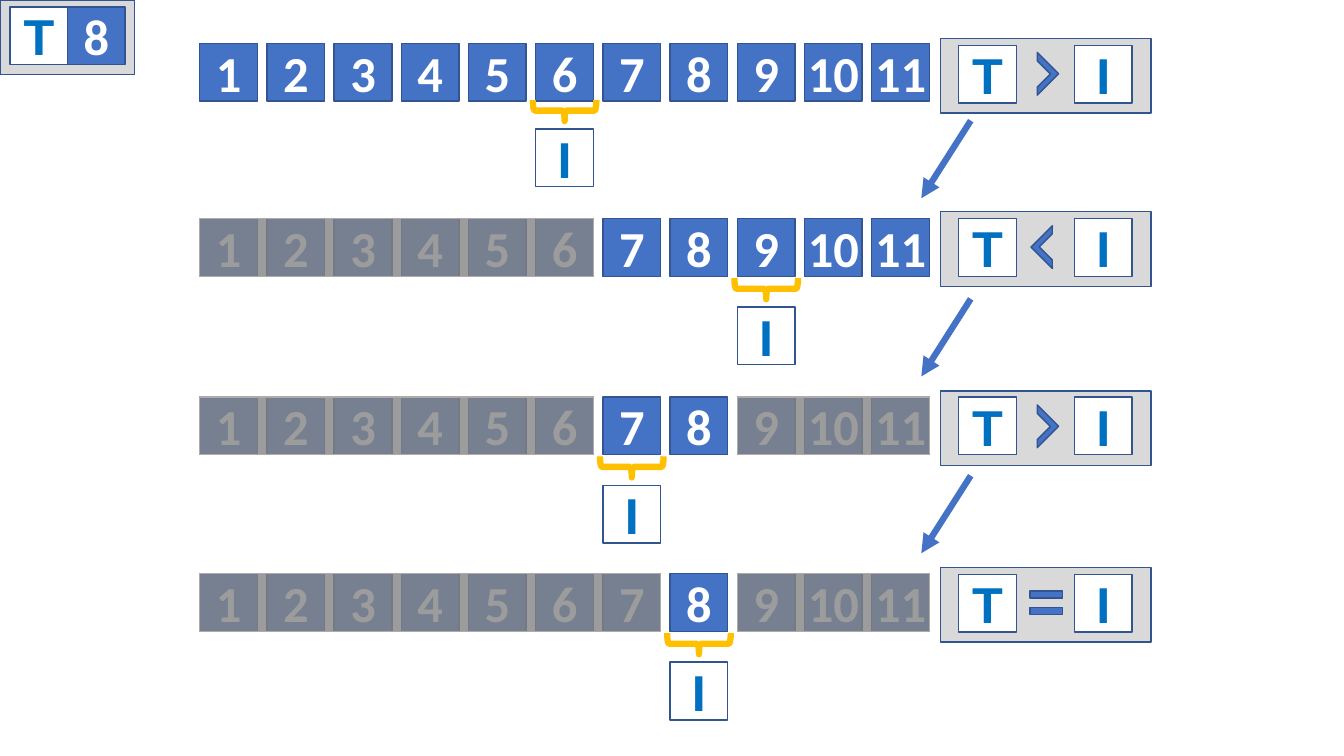
"""Draw a binary search for target 8 among eleven sorted numbers, one row per step."""
import dataclasses
import typing

import lxml.etree
import pptx
import pptx.dml.color
import pptx.enum.shapes
import pptx.enum.text
import pptx.oxml.ns
import pptx.shapes.autoshape
import pptx.slide
import pptx.util

Pt = pptx.util.Pt
Kind = pptx.enum.shapes.MSO_SHAPE
Box = tuple[float, float, float, float]


@dataclasses.dataclass(frozen=True)
class Theme:
    blue: str = "4472C4"
    edge: str = "325491"
    white: str = "FFFFFF"
    ink: str = "0070C0"
    gray: str = "D9D9D9"
    gold: str = "FFC000"
    veil: str = "848484"
    rim: str = "AFABAB"
    digit: str = "Calibri"
    letter: str = "Arial"
    size: float = 36
    thin: float = 1
    thick: float = 4.5


@dataclasses.dataclass(frozen=True)
class Sign:
    kind: Kind
    mid: float
    width: float
    height: float
    turn: float
    tweaks: tuple[float, float]


@dataclasses.dataclass(frozen=True)
class Step:
    top: float
    panel: float
    card: float
    drop: float
    index: int
    veils: tuple[tuple[int, int], ...]
    sign: Sign


THEME = Theme()
SIDE, PITCH, LEFT, COUNT = 41.2, 48, 142.7, 11
PANEL, WIDTH, HEIGHT = 671.8, 150.5, 53.4
MORE = Sign(Kind.HALF_FRAME, 740.9, 21.6, 21.6, 135, (0.19, 0.2))
LESS = dataclasses.replace(MORE, mid=751.7, turn=315)
SAME = Sign(Kind.MATH_EQUAL, 747.4, 31.7, 30.2, 0, (0.17, 0.22))
STEPS = (
    Step(31, 27.4, 32.4, 61.2, 6, (), MORE),
    Step(156.2, 151.2, 156.2, 63.2, 9, ((1, 6),), LESS),
    Step(283.5, 279.2, 283.7, 63.2, 7, ((1, 6), (9, 11)), MORE),
    Step(409.8, 405.2, 410.4, 63.2, 8, ((1, 7), (9, 11)), SAME),
)


def apply(thing: object, form: dict[str, typing.Any]) -> None:
    for name, value in form.items():
        setattr(thing, name, value)


def tint(text: str) -> pptx.dml.color.RGBColor:
    return pptx.dml.color.RGBColor.from_string(text)


def place(number: int) -> float:
    return LEFT + (number - 1) * PITCH


def draw(slide: pptx.slide.Slide, kind: Kind, box: Box, fill: str | None,
         edge: str = THEME.edge, width: float = THEME.thin) -> pptx.shapes.autoshape.Shape:
    shape = slide.shapes.add_shape(kind, *map(Pt, box))
    shape.shadow.inherit = False
    if fill:
        shape.fill.solid()
        shape.fill.fore_color.rgb = tint(fill)
    else:
        shape.fill.background()
    shape.line.color.rgb = tint(edge)
    shape.line.width = Pt(width)
    return shape


def tile(slide: pptx.slide.Slide, text: str, left: float, top: float) -> None:
    digit = text.isdigit()
    shape = draw(slide, Kind.RECTANGLE, (left, top, SIDE, SIDE),
                 THEME.blue if digit else THEME.white)
    frame = shape.text_frame
    apply(frame, {"margin_left": 0, "margin_right": 0, "margin_top": Pt(3.6),
                  "margin_bottom": Pt(3.6),
                  "vertical_anchor": pptx.enum.text.MSO_ANCHOR.MIDDLE})
    line = frame.paragraphs[0]
    line.alignment = pptx.enum.text.PP_ALIGN.CENTER
    run = line.add_run()
    run.text = text
    apply(run.font, {"name": THEME.digit if digit else THEME.letter,
                     "size": Pt(THEME.size), "bold": True})
    run.font.color.rgb = tint(THEME.white if digit else THEME.ink)


def mark(slide: pptx.slide.Slide, step: Step) -> None:
    left = place(step.index)
    mid, level = left + SIDE / 2, step.top + step.drop - 13.2
    wide, tall = 15.1, 45.4
    brace = draw(slide, Kind.LEFT_BRACE, (mid - wide / 2, level - tall / 2, wide, tall),
                 None, THEME.gold, THEME.thick)
    brace.rotation = 270
    tile(slide, "I", left, step.top + step.drop)


def cover(slide: pptx.slide.Slide, step: Step) -> None:
    for first, last in step.veils:
        left = place(first)
        shape = draw(slide, Kind.RECTANGLE, (left, step.top, place(last) + SIDE - left, SIDE),
                     THEME.veil, THEME.rim)
        color = shape._element.spPr.find(".//" + pptx.oxml.ns.qn("a:srgbClr"))
        lxml.etree.SubElement(color, pptx.oxml.ns.qn("a:alpha"), val="80000")


def judge(slide: pptx.slide.Slide, step: Step) -> None:
    draw(slide, Kind.RECTANGLE, (PANEL, step.panel, WIDTH, HEIGHT), THEME.gray)
    tile(slide, "T", 684.7, step.card)
    tile(slide, "I", 767.5, step.card)
    sign = step.sign
    box = (sign.mid - sign.width / 2, step.panel + 25.3 - sign.height / 2,
           sign.width, sign.height)
    shape = draw(slide, sign.kind, box, THEME.blue)
    shape.rotation = sign.turn
    for spot, value in enumerate(sign.tweaks):
        shape.adjustments[spot] = value


def arrow(slide: pptx.slide.Slide, top: float) -> None:
    ends = (693.4, top - 70, 658.1, top - 14.6)
    link = slide.shapes.add_connector(pptx.enum.shapes.MSO_CONNECTOR.STRAIGHT, *map(Pt, ends))
    link.line.color.rgb = tint(THEME.blue)
    link.line.width = Pt(THEME.thick)
    lxml.etree.SubElement(link.line._get_or_add_ln(), pptx.oxml.ns.qn("a:tailEnd"),
                          type="triangle")
    lxml.etree.SubElement(link._element.spPr, pptx.oxml.ns.qn("a:effectLst"))


def main() -> None:
    deck = pptx.Presentation()
    apply(deck, {"slide_width": Pt(960), "slide_height": Pt(540)})
    slide = deck.slides.add_slide(deck.slide_layouts[6])
    draw(slide, Kind.RECTANGLE, (0, 0, 96, HEIGHT), THEME.gray)
    tile(slide, "T", 7.2, 5)
    tile(slide, "8", 48.2, 5)
    for step in STEPS:
        for number in range(1, COUNT + 1):
            tile(slide, str(number), place(number), step.top)
        mark(slide, step)
        cover(slide, step)
        judge(slide, step)
    for step in STEPS[1:]:
        arrow(slide, step.top)
    deck.save("out.pptx")


if __name__ == "__main__":
    main()
